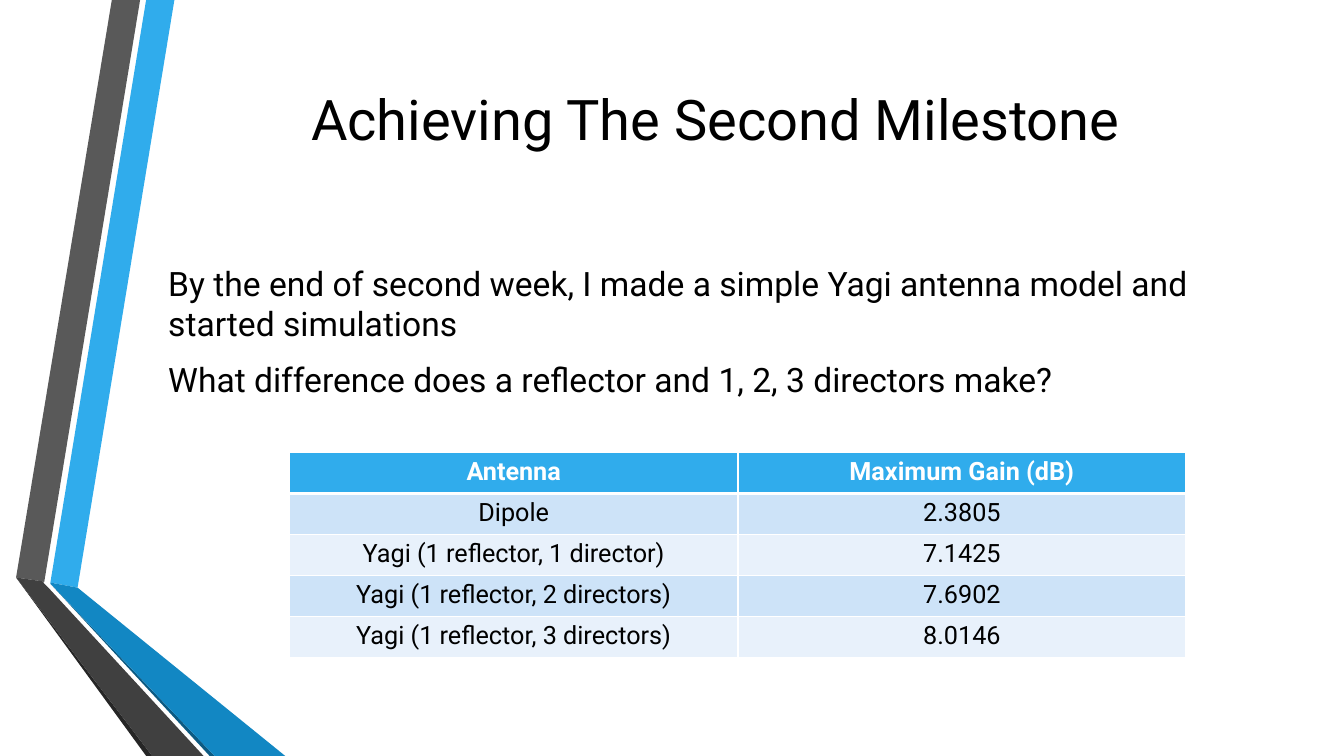
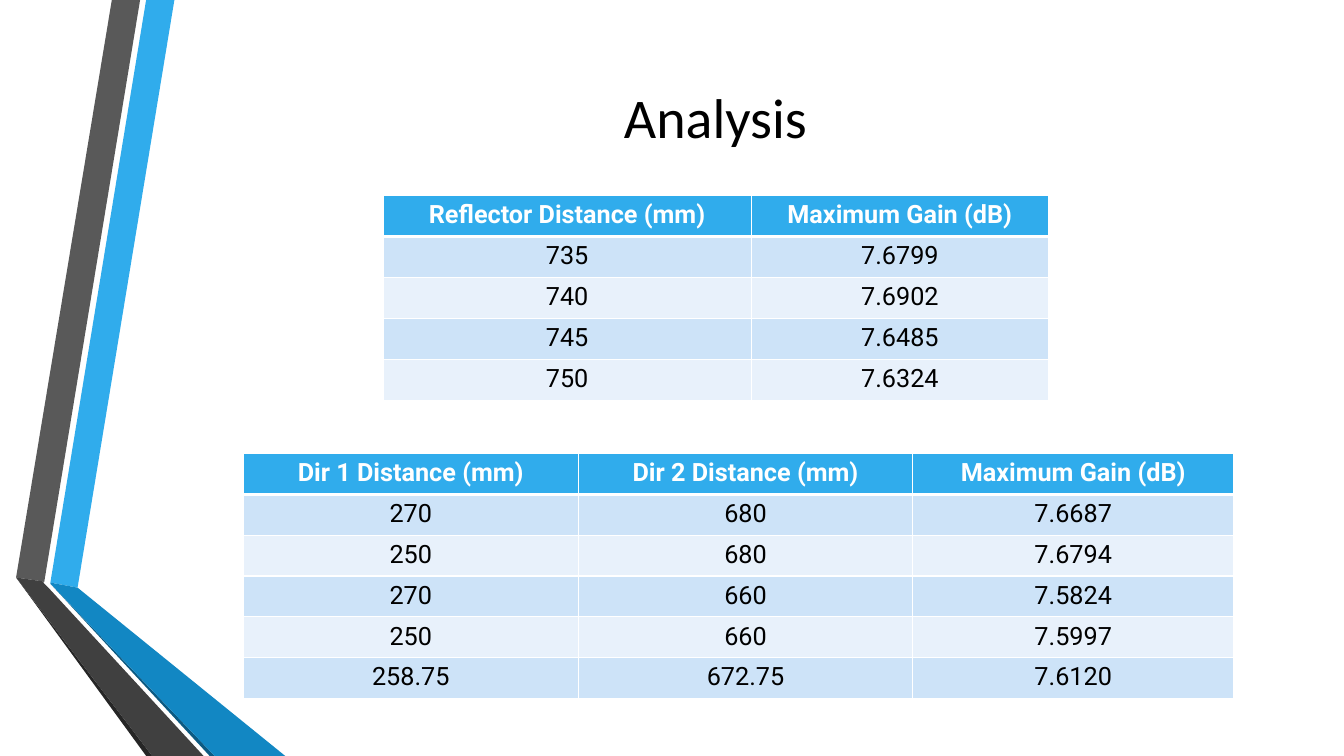
from dataclasses import dataclass

from lxml import etree
from pptx import Presentation
from pptx.dml.color import RGBColor
from pptx.enum.text import MSO_ANCHOR, PP_ALIGN
from pptx.oxml.ns import qn
from pptx.util import Pt

PX = 9144  # 100 px to the inch
CENTER, LEFT = PP_ALIGN.CENTER, PP_ALIGN.LEFT
MIDDLE, TOP = MSO_ANCHOR.MIDDLE, MSO_ANCHOR.TOP


@dataclass(frozen=True)
class Theme:
    blue: str = "30ACEC"
    mid_blue: str = "1287C3"
    deep_blue: str = "0C5A82"
    gray: str = "595959"
    dark_gray: str = "404040"
    near_black: str = "262626"
    bands: tuple = ("E8F1FB", "CDE3F8")
    ink: str = "000000"
    paper: str = "FFFFFF"
    font: str = "Roboto"
    title_size: int = 40
    body_size: int = 24
    table_size: int = 18
    rule: int = 1
    header_rule: int = 3


THEME = Theme()

# Folded ribbons down the left edge, from back to front
RIBBONS = [
    (THEME.blue, [(50, 578), (77, 583), (173, 0), (145, 0)]),
    (THEME.gray, [(139, 0), (111, 0), (16, 573), (44, 577)]),
    (THEME.near_black, [(16, 573), (145, 750), (151, 750)]),
    (THEME.deep_blue, [(50, 579), (208, 750), (213, 750)]),
    (THEME.mid_blue, [(50, 579), (213, 750), (283, 750), (77, 583), (50, 578)]),
    (THEME.dark_gray, [(202, 750), (48, 583), (43, 578), (44, 577), (16, 573), (151, 750)]),
]

# Box: left, top, width, height; table columns: widths
SLIDES = [
    {
        "title": ("Achieving The Second Milestone", "Roboto", 21),
        "body": [
            "By the end of second week, I made a simple Yagi antenna model and started simulations",
            "What difference does a reflector and 1, 2, 3 directors make?",
        ],
        "tables": [
            ((287, 449), 203, (445, 444), [
                ("Antenna", "Maximum Gain (dB)"),
                ("Dipole", "2.3805"),
                ("Yagi (1 reflector, 1 director)", "7.1425"),
                ("Yagi (1 reflector, 2 directors)", "7.6902"),
                ("Yagi (1 reflector, 3 directors)", "8.0146"),
            ]),
        ],
    },
    {
        "title": ("Analysis", "Calibri", 19),
        "body": [],
        "tables": [
            ((380, 194), 203, (365, 295), [
                ("Reflector Distance (mm)", "Maximum Gain (dB)"),
                ("735", "7.6799"),
                ("740", "7.6902"),
                ("745", "7.6485"),
                ("750", "7.6324"),
            ]),
            ((241, 450), 243, (333, 331, 319), [
                ("Dir 1 Distance (mm)", "Dir 2 Distance (mm)", "Maximum Gain (dB)"),
                ("270", "680", "7.6687"),
                ("250", "680", "7.6794"),
                ("270", "660", "7.5824"),
                ("250", "660", "7.5997"),
                ("258.75", "672.75", "7.6120"),
            ]),
        ],
    },
]


def write(frame, lines, size, align, font=THEME.font, color=THEME.ink, bold=False, gap=0):
    """Fill a text frame with one paragraph per line, all in one style."""
    frame.text = "\n".join(lines)
    for paragraph in frame.paragraphs:
        paragraph.alignment = align
        paragraph.space_after = Pt(gap)
        paragraph.font.size = Pt(size)
        paragraph.font.name = font
        paragraph.font.bold = bold
        paragraph.font.color.rgb = RGBColor.from_string(color)


def add_text(slide, box, anchor, lines, size, align, **style):
    """Add a wrapping text box."""
    frame = slide.shapes.add_textbox(*(length * PX for length in box)).text_frame
    frame.word_wrap = True
    frame.vertical_anchor = anchor
    write(frame, lines, size, align, **style)


prs = Presentation()
prs.slide_width, prs.slide_height = 1333 * PX, 750 * PX

for content in SLIDES:
    slide = prs.slides.add_slide(prs.slide_layouts[6])

    # Ribbons
    ribbons = slide.shapes.add_group_shape()
    for color, points in RIBBONS:
        outline = ribbons.shapes.build_freeform(*points[0], scale=PX)
        outline.add_line_segments(points[1:], close=True)
        ribbon = outline.convert_to_shape()
        ribbon.shadow.inherit = False
        ribbon.fill.solid()
        ribbon.fill.fore_color.rgb = RGBColor.from_string(color)
        ribbon.line.fill.background()

    # Title and body
    title, title_font, title_top = content["title"]
    add_text(slide, (162, title_top, 1095, 192), MIDDLE, [title],
             THEME.title_size, CENTER, font=title_font)
    if content["body"]:
        add_text(slide, (157, 256, 1095, 160), TOP, content["body"],
                 THEME.body_size, LEFT, gap=11)

    # Tables
    for (left, top), height, widths, rows in content["tables"]:
        table = slide.shapes.add_table(
            len(rows), len(widths), left * PX, top * PX, sum(widths) * PX, height * PX
        ).table
        table.horz_banding = False
        for column, width in zip(table.columns, widths):
            column.width = width * PX

        for r, row in enumerate(rows):
            header = r == 0
            rules = {
                "a:lnL": THEME.rule,
                "a:lnR": THEME.rule,
                "a:lnT": THEME.header_rule if r == 1 else THEME.rule,
                "a:lnB": THEME.header_rule if header else THEME.rule,
            }
            for c, value in enumerate(row):
                cell = table.cell(r, c)
                write(cell.text_frame, [value], THEME.table_size, CENTER,
                      color=THEME.paper if header else THEME.ink, bold=header)
                properties = cell._tc.get_or_add_tcPr()
                for side, weight in rules.items():
                    line = etree.SubElement(properties, qn(side), w=str(Pt(weight)))
                    paint = etree.SubElement(line, qn("a:solidFill"))
                    etree.SubElement(paint, qn("a:srgbClr"), val=THEME.paper)
                cell.fill.solid()
                cell.fill.fore_color.rgb = RGBColor.from_string(
                    THEME.blue if header else THEME.bands[r % 2])

prs.save("out.pptx")
